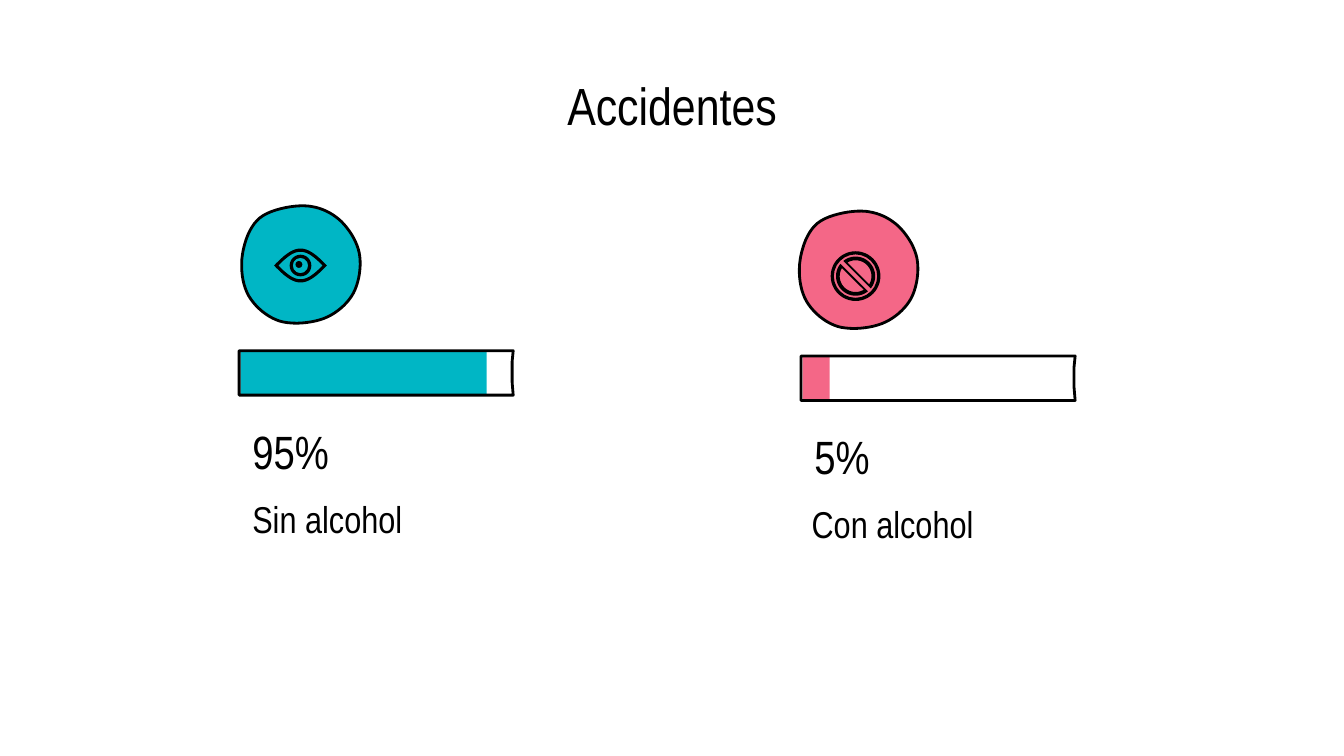
from math import cos, pi, radians, sin

from lxml import etree
from pptx import Presentation
from pptx.dml.color import RGBColor
from pptx.enum.shapes import MSO_SHAPE as Shape
from pptx.enum.text import MSO_ANCHOR as Anchor, PP_ALIGN as Align
from pptx.util import Cm, Pt

BLACK = RGBColor(0x00, 0x00, 0x00)
TEAL = RGBColor(0x00, 0xB6, 0xC5)
PINK = RGBColor(0xF4, 0x67, 0x87)
FONT = "Arial Narrow"
BAR_W, BAR_H = 5.18, 0.84

# Hand-drawn outlines, in cm from their top left corner
BLOB = [(1.19, 0), (1.85, 0.25), (2.24, 0.89), (2.13, 1.65), (1.57, 2.13),
        (0.74, 2.18), (0.15, 1.7), (0.03, 0.94), (0.36, 0.23)]
FRAME = [(0, 0), (BAR_W, 0), (BAR_W - 0.02, 0.2), (BAR_W - 0.02, 0.6),
         (BAR_W, BAR_H), (0, BAR_H)]


def add_text(slide, text, x, y, w, h, size, align=Align.LEFT, anchor=Anchor.TOP):
    frame = slide.shapes.add_textbox(Cm(x), Cm(y), Cm(w), Cm(h)).text_frame
    frame.word_wrap = True
    frame.vertical_anchor = anchor
    frame.margin_left = frame.margin_right = Cm(0.25)
    frame.margin_top = frame.margin_bottom = Cm(0.25)
    paragraph = frame.paragraphs[0]
    paragraph.alignment = align
    run = paragraph.add_run()
    run.text = text
    run.font.name, run.font.size = FONT, Pt(size)
    run.font.color.rgb = BLACK


def paint(shape, fill=None, outlined=False):
    shape.shadow.inherit = False
    if fill is None:
        shape.fill.background()
    else:
        shape.fill.solid()
        shape.fill.fore_color.rgb = fill
    if outlined:
        shape.line.color.rgb = BLACK
        shape.line.width = Pt(1.5)
    else:
        shape.line.fill.background()


def add_preset(slide, kind, x, y, w, h, fill):
    shape = slide.shapes.add_shape(kind, Cm(x), Cm(y), Cm(w), Cm(h))
    paint(shape, fill)
    return shape


def add_outline(slide, contours, x, y, **look):
    """Closed contours around (x, y); a second contour cuts a hole."""
    contours = [[(Cm(x + px), Cm(y + py)) for px, py in c] for c in contours]
    builder = slide.shapes.build_freeform(*contours[0][0], scale=1.0)
    for index, contour in enumerate(contours):
        if index:
            builder.move_to(*contour[0])
        builder.add_line_segments(contour[1:], close=True)
    paint(builder.convert_to_shape(), **look)


def smooth(knots, steps=10):
    """Closed Catmull-Rom curve through the knots."""
    curve = []
    for i in range(len(knots)):
        a, b, c, d = (knots[(i + k) % len(knots)] for k in (-1, 0, 1, 2))
        for t in (s / steps for s in range(steps)):
            curve.append(tuple(
                q + t / 2 * (r - p + t * (2 * p - 5 * q + 4 * r - s + t * (3 * (q - r) + s - p)))
                for p, q, r, s in zip(a, b, c, d)))
    return curve


def lens(half_w, half_h, steps=20):
    top = [(half_w * k / steps, -half_h * cos(pi / 2 * k / steps))
           for k in range(-steps, steps + 1)]
    return top + [(-px, -py) for px, py in top[1:-1]]


def arc_segment(radius, middle, half_span, steps=30):
    angles = [radians(middle + half_span * (2 * k / steps - 1)) for k in range(steps + 1)]
    return [(radius * cos(a), radius * sin(a)) for a in angles]


def add_circle(slide, x, y, size, ring=None):
    kind = Shape.OVAL if ring is None else Shape.DONUT
    circle = add_preset(slide, kind, x - size / 2, y - size / 2, size, size, BLACK)
    if ring is not None:
        circle.adjustments[0] = ring / size


def add_eye(slide, x, y):
    add_circle(slide, x - 0.03, y - 0.02, 0.13)
    add_outline(slide, [lens(0.5, 0.32), lens(0.42, 0.26)], x, y, fill=BLACK)
    add_circle(slide, x, y, 0.41, ring=0.06)


def add_ban_sign(slide, x, y):
    add_circle(slide, x, y, 0.94, ring=0.06)
    for middle in (135, -45):
        halves = [arc_segment(0.37, middle, 84), arc_segment(0.3, middle, 76)]
        add_outline(slide, halves, x, y, fill=BLACK)


def add_panel(slide, x, y, color, filled, percent, label, add_icon, icon_at, shift):
    # Badge with its icon
    badge_x = x + shift
    add_outline(slide, [smooth(BLOB)], badge_x, y, fill=color, outlined=True)
    add_icon(slide, badge_x + icon_at[0], y + icon_at[1])
    # Bar: coloured share under a drawn frame
    bar_y = y + 2.74
    add_preset(slide, Shape.RECTANGLE, x + 0.03, bar_y, filled, BAR_H, color)
    add_outline(slide, [FRAME], x, bar_y, outlined=True)
    # Figure and label
    add_text(slide, percent, x, y + 4.04, 2.67, 1.19, 25, anchor=Anchor.MIDDLE)
    add_text(slide, label, x + min(shift, 0), y + 5.23, 6.02, 1.19, 20)


def main():
    deck = Presentation()
    deck.slide_width, deck.slide_height = Cm(25.4), Cm(14.29)
    slide = deck.slides.add_slide(deck.slide_layouts[6])
    add_text(slide, "Accidentes", 1.27, 1.14, 22.86, 1.6, 28, align=Align.CENTER)
    add_panel(slide, 4.52, 3.89, TEAL, 4.65, "95%", "Sin alcohol",
              add_eye, (1.13, 1.13), 0.03)
    add_panel(slide, 15.14, 3.99, PINK, 0.51, "5%", "Con alcohol",
              add_ban_sign, (1.08, 1.23), -0.05)
    deck.save("out.pptx")


if __name__ == "__main__":
    main()
